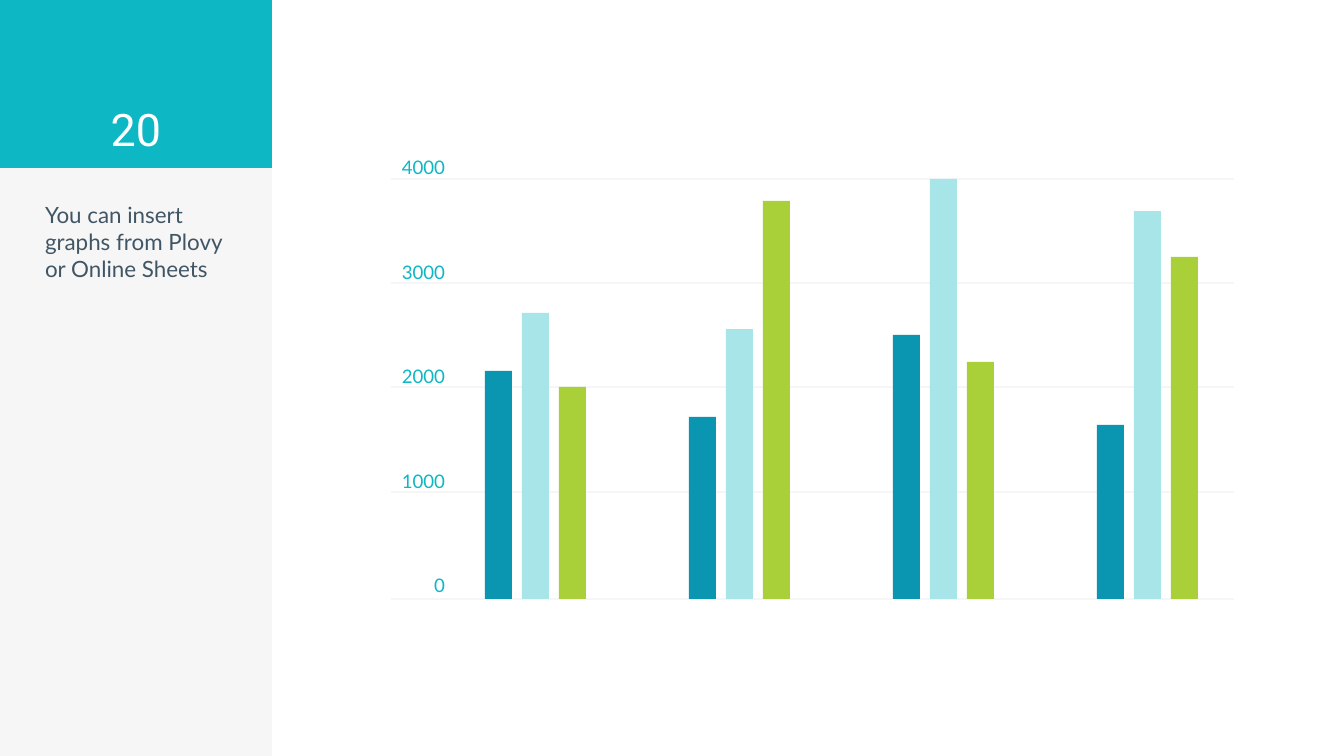
from pptx import Presentation
from pptx import util as u
from pptx.dml.color import RGBColor
from pptx.enum import shapes, text
from pptx.oxml.ns import qn

EMU_PER_PX = 9144000 / 1344
WIDTH, HEIGHT = 1344, 756
PANEL_WIDTH, HEADER_HEIGHT = 272, 168

TEAL, PALE_GREY, SLATE, WHITE = "0DB7C4", "F6F6F6", "415665", "FFFFFF"
SERIES_COLORS = ["0A95B0", "A7E5E9", "A9D039"]
GROUPS = [
    [2170, 2720, 2020],
    [1730, 2570, 3790],
    [2510, 4000, 2260],
    [1660, 3700, 3260],
]
AXIS_LABELS = ["4000", "3000", "2000", "1000", "0"]
GRID_YS = [179, 283, 387, 492, 599]
GRID_LEFT, GRID_RIGHT = 391, 1234
BASELINE = GRID_YS[-1]
PX_PER_UNIT = (BASELINE - GRID_YS[0]) / 4000
FIRST_BAR_LEFT, GROUP_STEP, BAR_STEP, BAR_WIDTH = 485, 204, 37, 27


def px(length):
    return u.Emu(round(length * EMU_PER_PX))


def rgb(hex_color):
    return RGBColor.from_string(hex_color)


def write(frame, lines, *, size, color, font="Lato", align=text.PP_ALIGN.LEFT,
          anchor=text.MSO_ANCHOR.TOP, inset=13, first_gap=0, gap=0):
    """Fill a text frame; first_gap and gap are points above its paragraphs."""
    frame.word_wrap = True
    frame.auto_size = text.MSO_AUTO_SIZE.NONE
    frame.vertical_anchor = anchor
    frame.margin_left = frame.margin_right = px(inset)
    frame.margin_top = frame.margin_bottom = px(inset)
    for index, line in enumerate(lines):
        paragraph = frame.add_paragraph() if index else frame.paragraphs[0]
        paragraph.alignment = align
        paragraph.space_before = u.Pt(gap if index else first_gap)
        run = paragraph.add_run()
        run.text = line
        run.font.name = font
        run.font.size = u.Pt(size)
        run.font.color.rgb = rgb(color)


class Deck:
    def __init__(self):
        self.presentation = Presentation()
        self.presentation.slide_width = px(WIDTH)
        self.presentation.slide_height = px(HEIGHT)
        layout = self.presentation.slide_layouts[1]
        self.slide = self.presentation.slides.add_slide(layout)
        title = self.slide.shapes.title._element
        title.getparent().remove(title)

    def block(self, left, top, width, height, color):
        rect = self.slide.shapes.add_shape(
            shapes.MSO_SHAPE.RECTANGLE, px(left), px(top), px(width), px(height))
        rect.shadow.inherit = False
        rect.fill.solid()
        rect.fill.fore_color.rgb = rgb(color)
        rect.line.fill.background()

    def rule(self, left, right, y, color):
        line = self.slide.shapes.add_connector(
            shapes.MSO_CONNECTOR.STRAIGHT, px(left), px(y), px(right), px(y))
        line.line.color.rgb = rgb(color)
        line.line.width = u.Pt(0.75)
        properties = line._element.spPr
        properties.append(properties.makeelement(qn("a:effectLst"), {}))

    def label(self, left, top, width, height, lines, **style):
        box = self.slide.shapes.add_textbox(px(left), px(top), px(width), px(height))
        write(box.text_frame, lines, **style)

    def body(self, left, top, width, height, lines, **style):
        """Place the body placeholder, without bullets, above what is drawn so far."""
        holder = self.slide.placeholders[1]
        holder.left, holder.top = px(left), px(top)
        holder.width, holder.height = px(width), px(height)
        write(holder.text_frame, lines, **style)
        for paragraph in holder.text_frame.paragraphs:
            properties = paragraph._p.get_or_add_pPr()
            properties.set("marL", "0")
            properties.set("indent", "0")
            properties.append(properties.makeelement(qn("a:buNone"), {}))
        self.slide.shapes._spTree.append(holder._element)


def main():
    deck = Deck()
    deck.block(0, 0, PANEL_WIDTH, HEIGHT, PALE_GREY)
    deck.block(0, 0, PANEL_WIDTH, HEADER_HEIGHT, TEAL)
    deck.body(32, 188, 204, 284,
              ["You can insert graphs from Plovy or Online Sheets"],
              size=12, color=SLATE, first_gap=3.6)
    deck.label(0, 0, PANEL_WIDTH, HEADER_HEIGHT, ["20"], size=24, color=WHITE,
               font="Roboto", align=text.PP_ALIGN.CENTER,
               anchor=text.MSO_ANCHOR.BOTTOM)

    for y in GRID_YS:
        deck.rule(GRID_LEFT, GRID_RIGHT, y, PALE_GREY)
    deck.label(GRID_LEFT, 156, 54, 445, AXIS_LABELS, size=10, color=TEAL,
               align=text.PP_ALIGN.RIGHT, inset=0, gap=44)

    for group, values in enumerate(GROUPS):
        for series, (value, color) in enumerate(zip(values, SERIES_COLORS)):
            left = FIRST_BAR_LEFT + group * GROUP_STEP + series * BAR_STEP
            height = round(value * PX_PER_UNIT)
            deck.block(left, BASELINE - height, BAR_WIDTH, height, color)

    deck.presentation.save("out.pptx")


if __name__ == "__main__":
    main()
